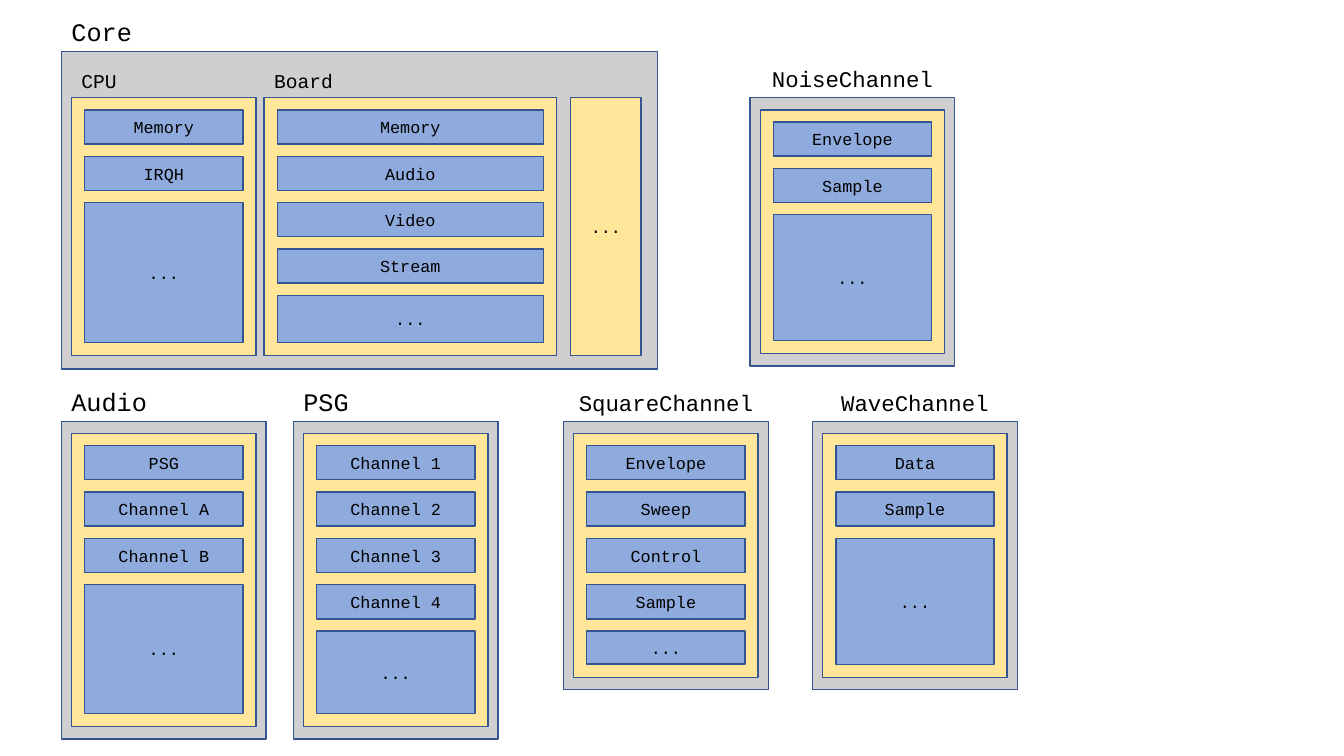
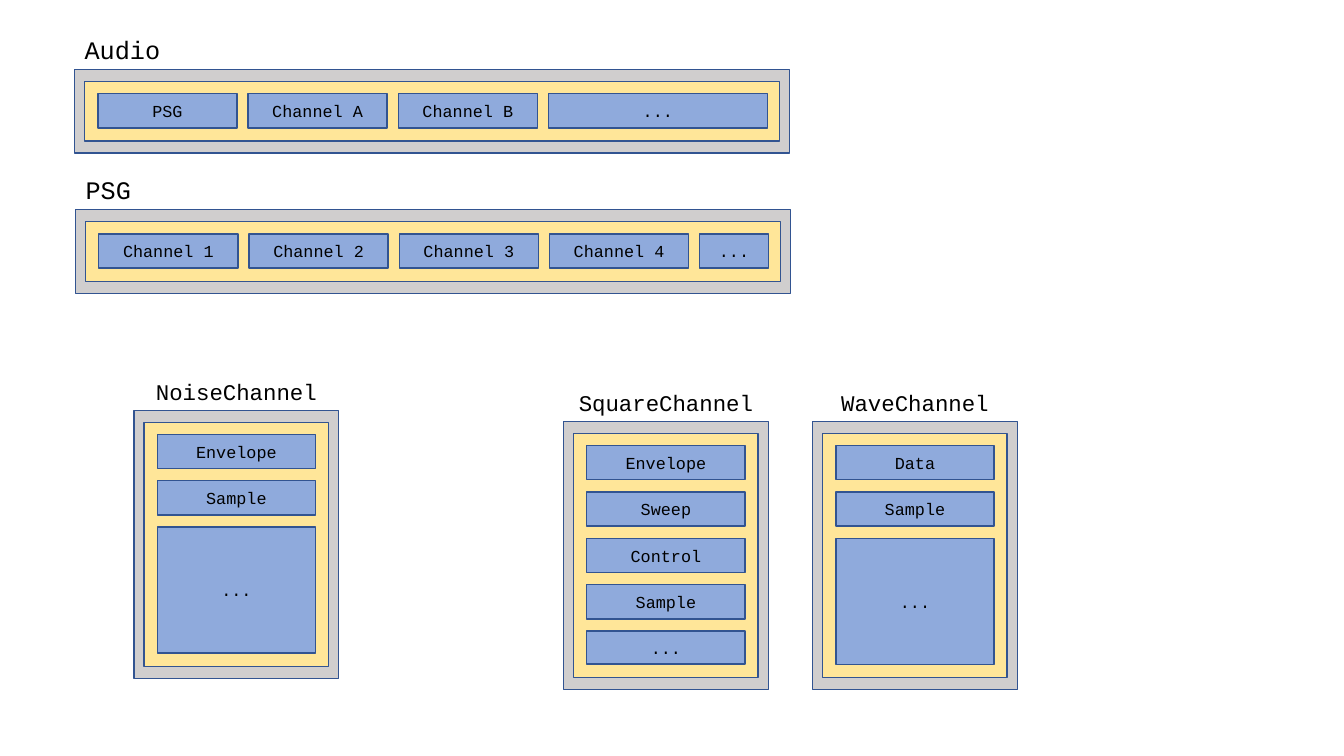
from pptx import Presentation
from pptx.dml.color import RGBColor
from pptx.enum.shapes import MSO_SHAPE
from pptx.enum.text import MSO_ANCHOR, MSO_AUTO_SIZE, PP_ALIGN
from pptx.util import Inches, Pt

RECT = MSO_SHAPE.RECTANGLE
MIDDLE = MSO_ANCHOR.MIDDLE
GROW = MSO_AUTO_SIZE.SHAPE_TO_FIT_TEXT
LEFT, CENTER = PP_ALIGN.LEFT, PP_ALIGN.CENTER

COLORS = {"panel": "D0CECE", "section": "FFE699", "item": "8FAADC",
          "line": "325491", "text": "000000"}
FONT = "Courier New"
BLANK_LAYOUT = 6

PANEL_W, SHORT_H, TALL_H = 2.03, 2.66, 3.15
EDGE_X, EDGE_Y = 0.1, 0.12      # panel border around a section
PAD_X, PAD_Y = 0.13, 0.12       # section border around its items
ITEM_H, ITEM_STEP = 0.34, 0.46
STRIP_W, STRIP_H = 7.09, 0.83
STRIP_ITEM_W, STRIP_STEP = 1.38, 1.49

NOISE = ("NoiseChannel", ["Envelope", "Sample", "..."])
SQUARE = ("SquareChannel", ["Envelope", "Sweep", "Control", "Sample", "..."])
WAVE = ("WaveChannel", ["Data", "Sample", "..."])
AUDIO = ("Audio", ["PSG", "Channel A", "Channel B", "..."])
PSG = ("PSG", ["Channel 1", "Channel 2", "Channel 3", "Channel 4", "..."])


class Diagram:
    def __init__(self, prs):
        self.prs = prs

    def new_slide(self):
        layout = self.prs.slide_layouts[BLANK_LAYOUT]
        self.s = self.prs.slides.add_slide(layout)

    def add_text(self, tf, text, size, align):
        p = tf.paragraphs[0]
        p.alignment = align
        r = p.add_run()
        r.text = text
        r.font.name = FONT
        r.font.size = Pt(size)
        r.font.color.rgb = RGBColor.from_string(COLORS["text"])

    def box(self, kind, x, y, w, h, text=None):
        sp = self.group.shapes.add_shape(
            RECT, Inches(x), Inches(y), Inches(w), Inches(h))
        sp.shadow.inherit = False
        sp.fill.solid()
        sp.fill.fore_color.rgb = RGBColor.from_string(COLORS[kind])
        sp.line.color.rgb = RGBColor.from_string(COLORS["line"])
        sp.line.width = Pt(1)
        if text:
            sp.text_frame.vertical_anchor = MIDDLE
            self.add_text(sp.text_frame, text, 12, CENTER)

    def heading(self, text, x, y, w, size, align=LEFT):
        """Place a heading whose bottom edge rests on y."""
        h = {18: 0.4, 16: 0.37, 14: 0.34}[size]
        sp = self.group.shapes.add_textbox(
            Inches(x), Inches(y - h), Inches(w), Inches(h))
        tf = sp.text_frame
        tf.word_wrap = True
        tf.auto_size = GROW
        self.add_text(tf, text, size, align)

    def panel(self, title, x, y, w, h, size=18, align=LEFT):
        """Start a new group with a grey panel and its heading."""
        self.group = self.s.shapes.add_group_shape()
        self.box("panel", x, y, w, h)
        self.heading(title, x, y, w, size, align)

    def stack(self, items, x, y, w, h):
        """Draw a section of stacked items; the last fills the rest."""
        self.box("section", x, y, w, h)
        bottom = y + h - PAD_X
        for i, text in enumerate(items):
            top = y + PAD_Y + i * ITEM_STEP
            last = i == len(items) - 1
            self.box("item", x + PAD_X, top, w - 2 * PAD_X,
                     bottom - top if last else ITEM_H, text)

    def column(self, content, x, y, h, size=18, align=LEFT):
        title, items = content
        self.panel(title, x, y, PANEL_W, h, size, align)
        self.stack(items, x + EDGE_X, y + EDGE_Y,
                   PANEL_W - 2 * EDGE_X, h - 2 * EDGE_Y)

    def channel(self, content, x, y):
        self.column(content, x, y, SHORT_H, 16, CENTER)

    def strip(self, content, x, y):
        """Draw a panel with items in a row; the last fills the rest."""
        title, items = content
        self.panel(title, x, y, STRIP_W, STRIP_H)
        self.box("section", x + EDGE_X, y + EDGE_Y,
                 STRIP_W - 2 * EDGE_X, STRIP_H - 2 * EDGE_Y)
        right = x + STRIP_W - EDGE_X - PAD_Y
        for i, text in enumerate(items):
            left = x + EDGE_X + PAD_X + i * STRIP_STEP
            last = i == len(items) - 1
            self.box("item", left, y + EDGE_Y + PAD_Y,
                     right - left if last else STRIP_ITEM_W, ITEM_H, text)

    def core(self):
        self.panel("Core", 0.61, 0.51, 5.91, TALL_H)
        y, h = 0.97, 2.56
        sections = [("CPU", 0.71, 1.83, ["Memory", "IRQH", "..."]),
                    ("Board", 2.62, 2.9,
                     ["Memory", "Audio", "Video", "Stream", "..."])]
        for title, x, w, items in sections:
            self.heading(title, x, y, w, 14)
            self.stack(items, x, y, w, h)
        self.box("section", 5.66, y, 0.7, h, "...")


def main():
    prs = Presentation()
    prs.slide_width, prs.slide_height = Inches(13.33), Inches(7.5)
    d = Diagram(prs)
    lower_y = 4.18

    d.new_slide()
    d.core()
    d.channel(NOISE, 7.44, 0.97)
    d.column(AUDIO, 0.61, lower_y, TALL_H)
    d.column(PSG, 2.91, lower_y, TALL_H)
    d.channel(SQUARE, 5.59, lower_y)
    d.channel(WAVE, 8.06, lower_y)

    d.new_slide()
    d.strip(AUDIO, 0.74, 0.69)
    d.strip(PSG, 0.75, 2.08)
    d.channel(NOISE, 1.33, 4.07)
    d.channel(SQUARE, 5.59, lower_y)
    d.channel(WAVE, 8.06, lower_y)

    prs.save("out.pptx")


if __name__ == "__main__":
    main()
